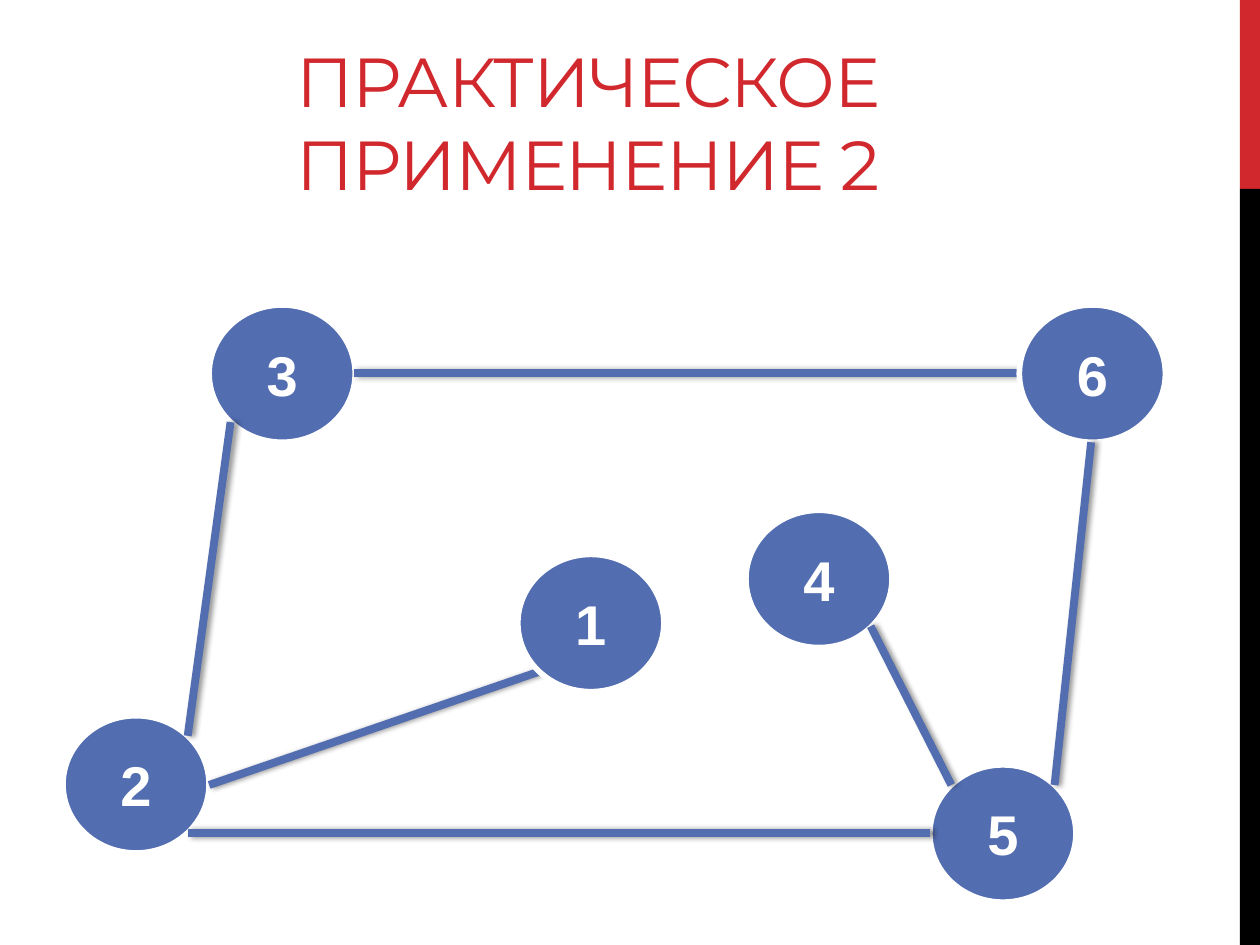
"""Build a slide with a six-node graph under a title."""
from lxml import etree
from pptx import Presentation
from pptx import util as u
from pptx.dml import color
from pptx.enum import shapes, text
from pptx.oxml import ns

TITLE = "ПРАКТИЧЕСКОЕ ПРИМЕНЕНИЕ 2"
RED, BLACK, BLUE, WHITE = "D1282E", "000000", "526DB0", "FFFFFF"
BARS = [(0, 1.5, RED), (1.5, 6, BLACK)]
BACK = [("3", 1.66, 2.42), ("4", 5.92, 4.05), ("2", 0.5, 5.68), ("5", 7.38, 6.07)]
EDGES = [
    (6.91, 4.97, 7.55, 6.23),
    (8.09, 2.96, 2.81, 2.96),
    (7.38, 6.61, 1.49, 6.61),
    (1.83, 3.35, 1.49, 5.84),
    (4.28, 5.33, 1.66, 6.23),
]
FRONT = [("1", 4.11, 4.4), ("6", 8.09, 2.42)]
LAST = (8.66, 3.51, 8.37, 6.23)
WIDE, HIGH = 1.16, 1.09
HEAD = {"name": "Montserrat", "size": u.Pt(39.6), "bold": False}
LABEL = {"name": "Arial", "size": u.Pt(32), "bold": True}
SHADE = {"blurRad": u.Pt(3.1), "dist": u.Pt(1.8), "dir": 0, "rotWithShape": 0}


def rgb(code):
    return color.RGBColor.from_string(code)


def box(vals):
    return [u.Inches(v) for v in vals]


def write(frame, words, form, hue, anchor):
    frame.word_wrap = True
    frame.vertical_anchor = anchor
    para = frame.paragraphs[0]
    para.alignment = text.PP_ALIGN.CENTER
    run = para.add_run()
    run.text = words
    for key, val in form.items():
        setattr(run.font, key, val)
    run.font.color.rgb = rgb(hue)
    return run


def solid(slide, kind, place, hue):
    shape = slide.shapes.add_shape(kind, *box(place))
    shape.shadow.inherit = False
    shape.fill.solid()
    shape.fill.fore_color.rgb = rgb(hue)
    shape.line.fill.background()
    return shape


def node(slide, name, left, top):
    shape = solid(slide, shapes.MSO_SHAPE.OVAL, (left, top, WIDE, HIGH), BLUE)
    shape.line.color.rgb = rgb(WHITE)
    shape.line.width = u.Pt(3.25)
    write(shape.text_frame, name, LABEL, WHITE, text.MSO_ANCHOR.MIDDLE)


def edge(slide, *ends):
    line = slide.shapes.add_connector(shapes.MSO_CONNECTOR.STRAIGHT, *box(ends))
    line.line.color.rgb = rgb(BLUE)
    line.line.width = u.Pt(4.5)
    props = line._element.spPr
    effect = etree.SubElement(props, ns.qn("a:effectLst"))
    shade = etree.SubElement(effect, ns.qn("a:outerShdw"))
    for key, val in SHADE.items():
        shade.set(key, str(int(val)))
    tint = etree.SubElement(shade, ns.qn("a:srgbClr"), val=BLACK)
    etree.SubElement(tint, ns.qn("a:alpha"), val="40000")


def main():
    deck = Presentation()
    deck.slide_width, deck.slide_height = box((10, 7.5))
    slide = deck.slides.add_slide(deck.slide_layouts[6])
    for top, high, hue in BARS:
        solid(slide, shapes.MSO_SHAPE.RECTANGLE, (9.84, top, 0.16, high), hue)
    title = slide.shapes.add_textbox(*box((0.5, 0.17, 8.33, 1.5)))
    run = write(title.text_frame, TITLE, HEAD, RED, text.MSO_ANCHOR.BOTTOM)
    run.font._element.set("spc", "-60")
    for item in BACK:
        node(slide, *item)
    for ends in EDGES:
        edge(slide, *ends)
    for item in FRONT:
        node(slide, *item)
    edge(slide, *LAST)
    deck.save("out.pptx")


if __name__ == "__main__":
    main()
